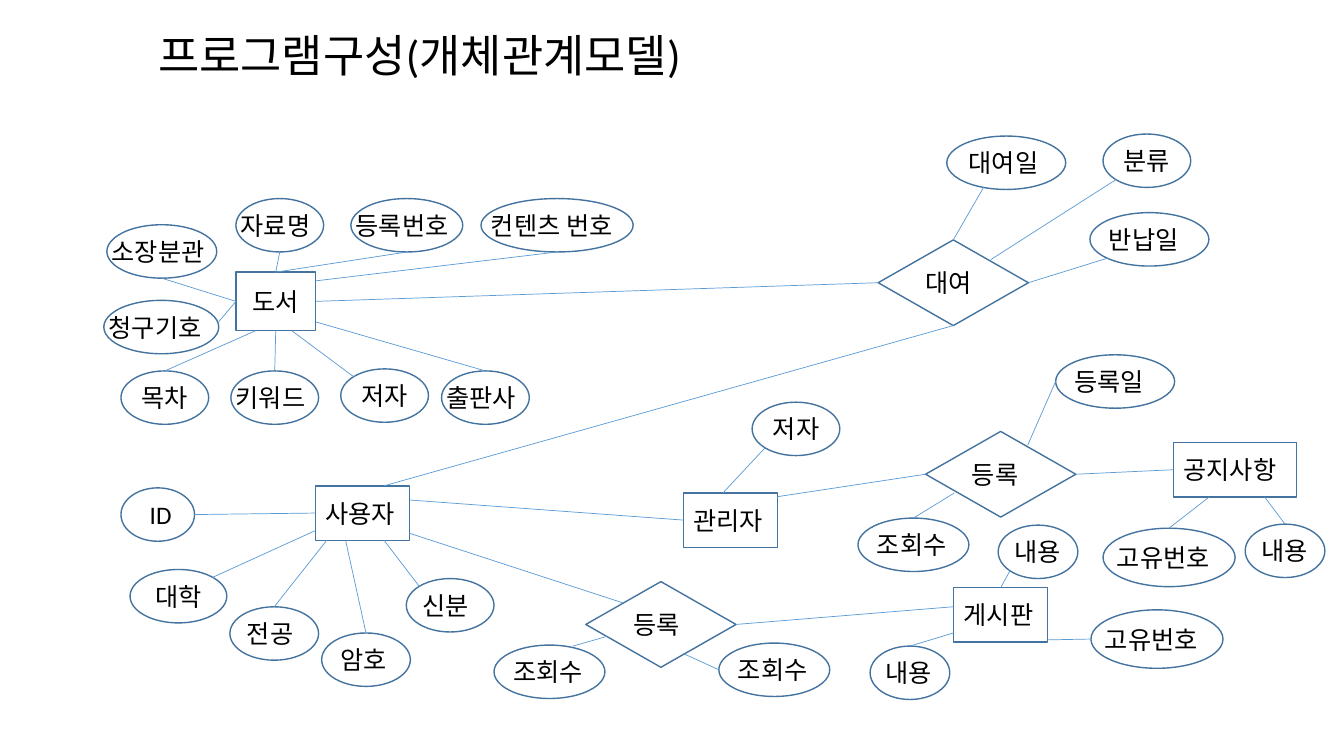
from dataclasses import dataclass, field
from typing import NamedTuple, Optional

from lxml import etree
from pptx import Presentation
from pptx import util as u
from pptx.dml import color
from pptx.enum import shapes, text
from pptx.oxml import ns

COLS, ROWS = 133.3, 75
WIDTH, HEIGHT = u.Inches(13.33), u.Inches(7.5)
COLORS = {"outline": "43739E", "link": "5B9BD5", "text": "000000"}
FONT = "Calibri"
LABEL_ROWS = 4
LABEL_COLS = {2: 7.8, 3: 10, 4: 13.2, 6: 15.6}
ENTITY = shapes.MSO_SHAPE.RECTANGLE
RELATION = shapes.MSO_SHAPE.FLOWCHART_DECISION
ATTRIBUTE = shapes.MSO_SHAPE.OVAL


class Size(NamedTuple):
    cols: float
    rows: float


class Site(NamedTuple):
    across: float
    down: float


BOX, DIAMOND = Size(9.3, 5.4), Size(14.9, 8.5)
SHORT, SMALL, MAJOR = Size(7.9, 5.3), Size(8.7, 5.3), Size(8.8, 5.3)
MEDIUM, LONG, LARGE = Size(11, 5.3), Size(11.8, 5.3), Size(13.1, 5.8)

TOP, BOTTOM = Site(0.5, 0), Site(0.5, 1)
LEFT, RIGHT = Site(0, 0.5), Site(1, 0.5)
UPPER_LEFT, UPPER_RIGHT, LOWER_LEFT = Site(0.15, 0.15), Site(0.85, 0.15), Site(0.15, 0.85)


def top(across: float) -> Site:
    return Site(across, 0)


def bottom(across: float) -> Site:
    return Site(across, 1)


def left(down: float) -> Site:
    return Site(0, down)


def right(down: float) -> Site:
    return Site(1, down)


@dataclass(frozen=True)
class Node:
    label: str
    col: float
    row: float
    size: Size
    label_shift: Optional[float] = None

    def point(self, site: Site) -> tuple[float, float]:
        return (self.col + site.across * self.size.cols,
                self.row + site.down * self.size.rows)


@dataclass(frozen=True)
class Attribute(Node):
    site: Site = field(kw_only=True)
    owner_site: Site = field(kw_only=True)


@dataclass(frozen=True)
class Group:
    kind: shapes.MSO_SHAPE
    owner: Node
    attributes: list[Attribute]


@dataclass(frozen=True)
class Link:
    start: Node
    start_site: Site
    end: Node
    end_site: Site


BOOK = Node("도서", 23.4, 27, Size(7.9, 5.8))
USER = Node("사용자", 31.3, 48.2, BOX, 0)
ADMIN = Node("관리자", 67.8, 48.9, BOX, 0)
BOARD = Node("게시판", 94.6, 58.3, BOX, 0)
NOTICE = Node("공지사항", 116.4, 43.9, Size(12.2, 5.4), 0)
RENTAL = Node("대여", 87.1, 23.8, DIAMOND, 3.7)
NOTICE_ENTRY = Node("등록", 91.8, 42.8, DIAMOND, 3.6)
BOARD_ENTRY = Node("등록", 58.1, 57.7, DIAMOND, 3.7)

GROUPS = [
    Group(ENTITY, BOOK, [
        Attribute("소장분관", 10.6, 22.3, Size(10.9, 5.3), -0.5, site=BOTTOM, owner_site=LEFT),
        Attribute("청구기호", 10.3, 29.8, Size(11.4, 5.3), -0.5, site=right(0.4), owner_site=LEFT),
        Attribute("자료명", 23.4, 19.7, SMALL, -0.5, site=BOTTOM, owner_site=TOP),
        Attribute("등록번호", 34.8, 19.7, Size(11.1, 5.3), -0.5, site=BOTTOM, owner_site=TOP),
        Attribute("컨텐츠 번호", 47.7, 19.7, Size(15.1, 5.3), 0, site=BOTTOM, owner_site=right(0.15)),
        Attribute("목차", 12, 36.8, SMALL, site=TOP, owner_site=bottom(0.25)),
        Attribute("키워드", 22.9, 36.8, SMALL, -0.5, site=TOP, owner_site=BOTTOM),
        Attribute("저자", 33.8, 36.6, SMALL, site=UPPER_LEFT, owner_site=bottom(0.7)),
        Attribute("출판사", 43.8, 36.8, SMALL, -0.5, site=TOP, owner_site=right(0.85)),
    ]),
    Group(ENTITY, USER, [
        Attribute(" ID", 12, 48.4, Size(7.3, 5.3), site=RIGHT, owner_site=LEFT),
        Attribute("대학", 12.9, 56.5, Size(9.6, 5.3), site=UPPER_RIGHT, owner_site=left(0.82)),
        Attribute("전공", 22.8, 60.2, MAJOR, 0.7, site=TOP, owner_site=bottom(0.12)),
        Attribute("암호", 31.9, 62.8, MAJOR, 0.9, site=TOP, owner_site=bottom(0.32)),
        Attribute("신분", 40.3, 57.4, SMALL, 0.6, site=UPPER_LEFT, owner_site=bottom(0.73)),
    ]),
    Group(ENTITY, ADMIN, [
        Attribute("저자", 74.6, 39.9, SMALL, site=LOWER_LEFT, owner_site=top(0.42)),
    ]),
    Group(ENTITY, BOARD, [
        Attribute("내용", 99, 52.1, SHORT, 0.6, site=LOWER_LEFT, owner_site=TOP),
        Attribute("고유번호", 108.2, 60.5, LARGE, 0.4, site=LEFT, owner_site=right(0.96)),
        Attribute("내용", 86.3, 64.1, SHORT, 0.5, site=TOP, owner_site=left(0.83)),
    ]),
    Group(ENTITY, NOTICE, [
        Attribute("고유번호", 109.4, 52.4, LARGE, 0.4, site=TOP, owner_site=bottom(0.29)),
        Attribute("내용", 123.5, 52, SHORT, 0.6, site=TOP, owner_site=bottom(0.74)),
    ]),
    Group(RELATION, RENTAL, [
        Attribute("대여일", 93.9, 13.5, LONG, 1.2, site=Site(0.31, 0.96), owner_site=TOP),
        Attribute("반납일", 108.1, 21.1, LONG, 0.9, site=LOWER_LEFT, owner_site=RIGHT),
        Attribute("분류", 109.4, 13.3, SMALL, site=LOWER_LEFT, owner_site=Site(0.75, 0.23)),
    ]),
    Group(RELATION, NOTICE_ENTRY, [
        Attribute("등록일", 104.7, 35.2, LONG, 0.9, site=LEFT, owner_site=Site(0.68, 0.16)),
        Attribute("조회수", 85.1, 51.4, MEDIUM, 0.9, site=TOP, owner_site=Site(0.19, 0.72)),
    ]),
    Group(RELATION, BOARD_ENTRY, [
        Attribute("조회수", 49, 64, MEDIUM, 0.9, site=Site(0.71, 0.02), owner_site=Site(0.14, 0.64)),
        Attribute("조회수", 71.3, 63.8, MEDIUM, 0.9, site=LEFT, owner_site=Site(0.65, 0.84)),
    ]),
]

RELATION_LINKS = [
    Link(BOOK, RIGHT, RENTAL, LEFT),
    Link(USER, top(0.73), RENTAL, BOTTOM),
    Link(USER, right(0.26), ADMIN, LEFT),
    Link(USER, right(0.87), BOARD_ENTRY, Site(0.25, 0.25)),
    Link(BOARD_ENTRY, RIGHT, BOARD, left(0.35)),
    Link(ADMIN, right(0.07), NOTICE_ENTRY, LEFT),
    Link(NOTICE_ENTRY, RIGHT, NOTICE, LEFT),
]


def x(cols: float) -> int:
    return round(WIDTH * cols / COLS)


def y(rows: float) -> int:
    return round(HEIGHT * rows / ROWS)


def rgb(name: str) -> color.RGBColor:
    return color.RGBColor.from_string(COLORS[name])


def write(tf, words: str, size: float, align: text.PP_ALIGN) -> None:
    tf.text = words
    tf.word_wrap = True
    p = tf.paragraphs[0]
    p.alignment = align
    r = p.runs[0]
    r.font.name = FONT
    r.font.size = u.Pt(size)
    r.font.color.rgb = rgb("text")


def add_title(s, words: str) -> None:
    sp = s.shapes.title
    sp.left, sp.top, sp.width, sp.height = x(14.7), y(2.4), x(60.1), y(6.7)
    tf = sp.text_frame
    write(tf, words, 32, text.PP_ALIGN.LEFT)
    tf.auto_size = text.MSO_AUTO_SIZE.NONE
    tf.vertical_anchor = text.MSO_ANCHOR.MIDDLE
    tf.paragraphs[0].line_spacing = 0.9


def add_label(s, node: Node) -> None:
    cols = LABEL_COLS[len(node.label.strip())]
    centered = node.label_shift is None
    shift = (node.size.cols - cols) / 2 if centered else node.label_shift
    row = node.row + (node.size.rows - LABEL_ROWS) / 2
    sp = s.shapes.add_textbox(x(node.col + shift), y(row), x(cols), y(LABEL_ROWS))
    align = text.PP_ALIGN.CENTER if centered else text.PP_ALIGN.LEFT
    write(sp.text_frame, node.label, 18, align)
    sp.text_frame.auto_size = text.MSO_AUTO_SIZE.SHAPE_TO_FIT_TEXT


def add_node(s, kind: shapes.MSO_SHAPE, node: Node) -> None:
    sp = s.shapes.add_shape(kind, x(node.col), y(node.row), x(node.size.cols), y(node.size.rows))
    sp.shadow.inherit = False
    sp.fill.background()
    sp.line.color.rgb = rgb("outline")
    sp.line.width = u.Pt(1)
    add_label(s, node)


def add_link(s, link: Link) -> None:
    col, row = link.start.point(link.start_site)
    end_col, end_row = link.end.point(link.end_site)
    line = s.shapes.add_connector(
        shapes.MSO_CONNECTOR.STRAIGHT, x(col), y(row), x(end_col), y(end_row))
    line.line.color.rgb = rgb("link")
    line.line.width = u.Pt(0.5)
    etree.SubElement(line._element.spPr, ns.qn("a:effectLst"))


def add_group(s, group: Group) -> None:
    add_node(s, group.kind, group.owner)
    for attribute in group.attributes:
        add_node(s, ATTRIBUTE, attribute)
        add_link(s, Link(group.owner, attribute.owner_site, attribute, attribute.site))


def main() -> None:
    prs = Presentation()
    prs.slide_width, prs.slide_height = WIDTH, HEIGHT
    s = prs.slides.add_slide(prs.slide_layouts.get_by_name("Title Only"))
    add_title(s, "프로그램구성(개체관계모델)")
    for group in GROUPS:
        add_group(s, group)
    for link in RELATION_LINKS:
        add_link(s, link)
    prs.save("out.pptx")


if __name__ == "__main__":
    main()
